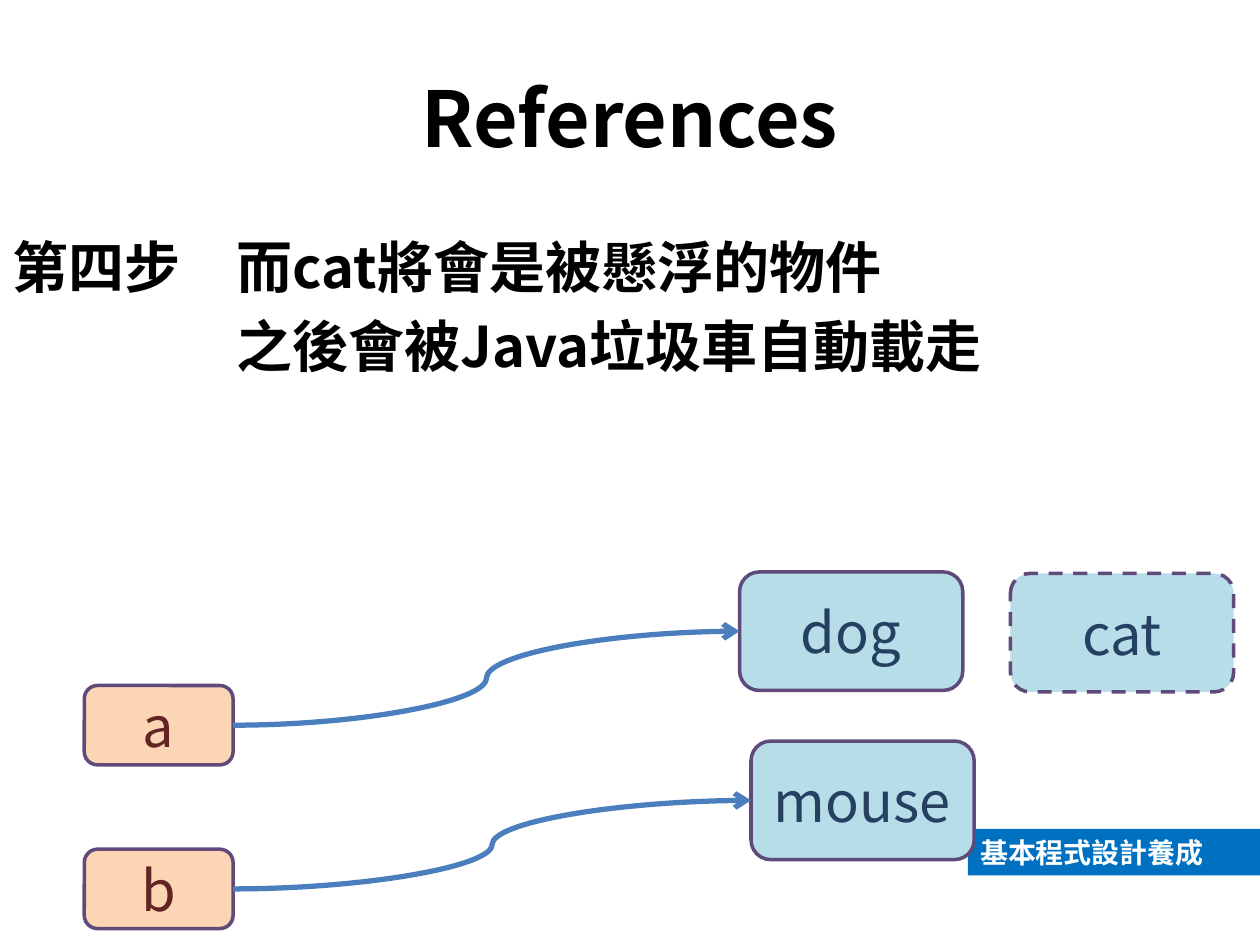
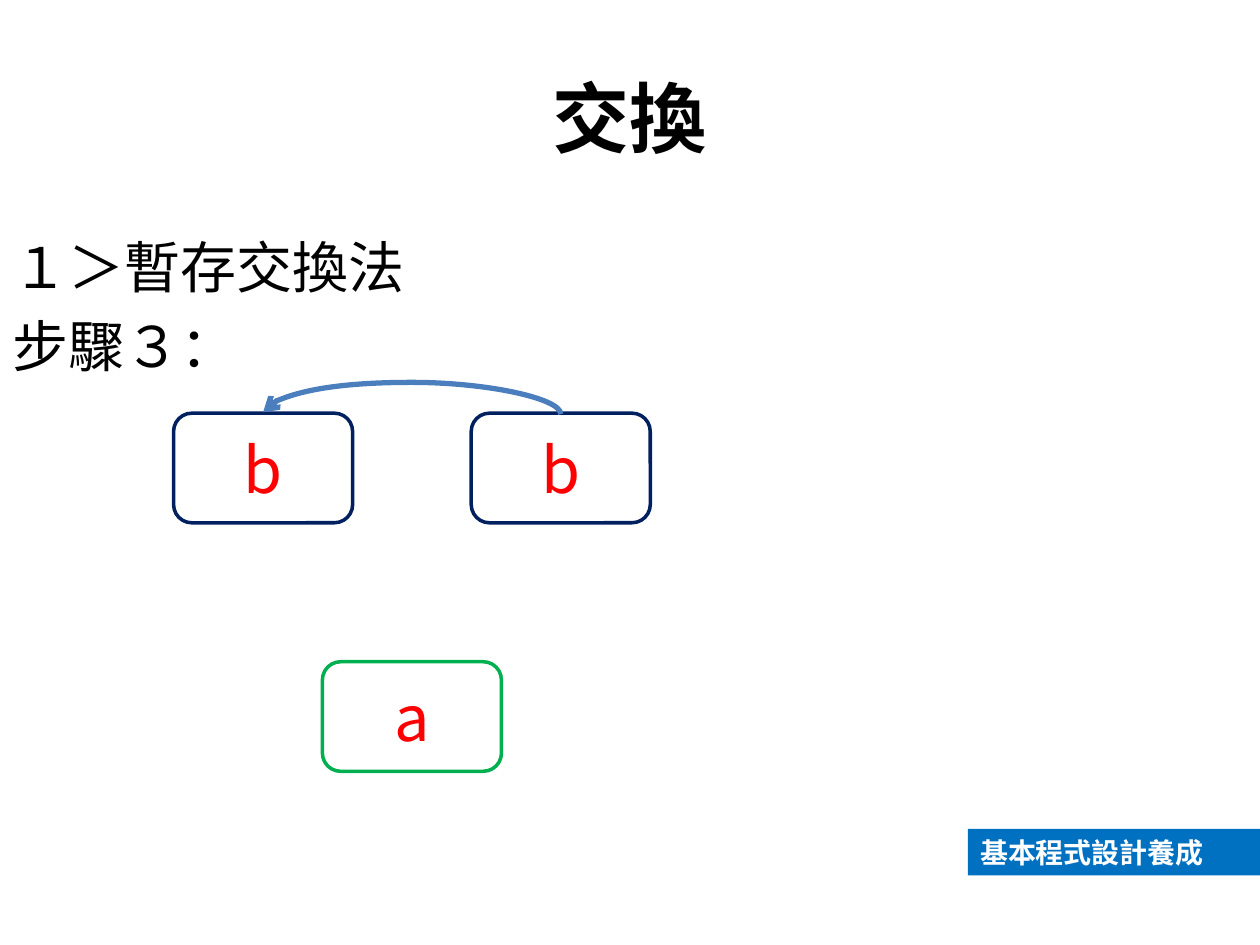
from lxml import etree
from pptx import Presentation
from pptx.dml.color import RGBColor
from pptx.enum.dml import MSO_LINE
from pptx.enum.shapes import MSO_CONNECTOR, MSO_SHAPE
from pptx.enum.text import MSO_ANCHOR, PP_ALIGN
from pptx.oxml.ns import qn
from pptx.util import Cm, Pt

RECTANGLE = MSO_SHAPE.RECTANGLE
ROUNDED = MSO_SHAPE.ROUNDED_RECTANGLE
CURVE = MSO_CONNECTOR.CURVE
DASH = MSO_LINE.DASH
MIDDLE = MSO_ANCHOR.MIDDLE
LEFT, CENTER = PP_ALIGN.LEFT, PP_ALIGN.CENTER

FONT = "Noto Sans CJK SC"
COLORS = {
    "black": "000000",
    "white": "FFFFFF",
    "band": "0070C0",
    "arrow": "4B7EBC",
    "purple": "604A7B",
    "peach": "FCD5B5",
    "brown": "632523",
    "aqua": "B7DEE8",
    "navy": "254061",
    "dark_blue": "002060",
    "green": "00B050",
    "red": "FF0000",
}
BLANK_LAYOUT = 6
TOP_SITE, LEFT_SITE, RIGHT_SITE = 0, 1, 3
BODY_SIZE, BODY_PITCH = 32, 45


def color(name):
    return RGBColor.from_string(COLORS[name])


class Deck:
    """Holds the shared style and the slide being filled."""

    def __init__(self):
        self.presentation = Presentation()
        self.presentation.slide_width = Cm(25.4)
        self.presentation.slide_height = Cm(19.05)
        self.slide = None

    def start_slide(self, title):
        layout = self.presentation.slide_layouts[BLANK_LAYOUT]
        self.slide = self.presentation.slides.add_slide(layout)
        self.footer("基本程式設計養成")
        self.title(title)

    def style(self, paragraph, size, text_color, bold=False, align=LEFT):
        paragraph.alignment = align
        font = paragraph.font
        font.size, font.bold, font.name = Pt(size), bold, FONT
        font.color.rgb = color(text_color)
        properties = paragraph._p.find(".//" + qn("a:defRPr"))
        etree.SubElement(properties, qn("a:ea"), typeface=FONT)

    def shape(self, kind, place, fill=None, line=None, dashed=False):
        shape = self.slide.shapes.add_shape(kind, *map(Cm, place))
        shape.shadow.inherit = False
        if fill:
            shape.fill.solid()
            shape.fill.fore_color.rgb = color(fill)
        else:
            shape.fill.background()
        if line:
            shape.line.color.rgb = color(line)
            shape.line.width = Pt(2)
        else:
            shape.line.fill.background()
        if dashed:
            shape.line.dash_style = DASH
        frame = shape.text_frame
        frame.margin_top = frame.margin_bottom = 0
        frame.vertical_anchor = MIDDLE
        return shape

    def text_box(self, place):
        frame = self.slide.shapes.add_textbox(*map(Cm, place)).text_frame
        frame.word_wrap = True
        frame.margin_top = 0
        return frame

    def footer(self, text):
        band = self.shape(RECTANGLE, (19.51, 16.71, 5.89, 0.94), "band")
        paragraph = band.text_frame.paragraphs[0]
        paragraph.text = text
        self.style(paragraph, 16, "white", bold=True)

    def title(self, text):
        frame = self.text_box((1.27, 0.76, 22.86, 3.18))
        frame.margin_bottom = 0
        frame.vertical_anchor = MIDDLE
        paragraph = frame.paragraphs[0]
        paragraph.text = text
        self.style(paragraph, 44, "black", bold=True, align=CENTER)

    def body(self, lines, bold=False):
        """Writes (text, indent in characters) pairs as paragraphs."""
        frame = self.text_box((0, 4.45, 25.4, 14.6))
        for index, (text, indent) in enumerate(lines):
            paragraph = frame.add_paragraph() if index else frame.paragraphs[0]
            paragraph.text = text
            paragraph.line_spacing = Pt(BODY_PITCH)
            self.style(paragraph, BODY_SIZE, "black", bold)
            margin = Pt(indent * BODY_SIZE)
            paragraph._p.get_or_add_pPr().set("marL", str(margin))

    def box(self, text, place, line, text_color, size=32, fill=None, dashed=False):
        box = self.shape(ROUNDED, place, fill, line, dashed)
        paragraph = box.text_frame.paragraphs[0]
        paragraph.text = text
        self.style(paragraph, size, text_color, align=CENTER)
        return box

    def arrow(self, source, target, source_site=RIGHT_SITE, target_site=LEFT_SITE):
        connector = self.slide.shapes.add_connector(CURVE, 0, 0, 0, 0)
        connector.begin_connect(source, source_site)
        connector.end_connect(target, target_site)
        connector.line.color.rgb = color("arrow")
        connector.line.width = Pt(3)
        line = connector.line._get_or_add_ln()
        etree.SubElement(line, qn("a:tailEnd"), type="arrow")
        etree.SubElement(connector._element.spPr, qn("a:effectLst"))
        return connector

    def arc_arrow(self, source, target, rise):
        """Curves from the top of source leftwards to the top of target."""
        connector = self.arrow(source, target, TOP_SITE, TOP_SITE)
        span = source.left - target.left
        thickness = Cm(0.04)
        center = target.left + target.width // 2 + span // 2
        connector.left = center - thickness // 2
        connector.top = source.top - span // 2
        connector.width, connector.height = thickness, span
        properties = connector._element.spPr
        transform = properties.find(qn("a:xfrm"))
        transform.attrib.pop("flipH", None)
        transform.set("rot", "16200000")
        transform.set("flipV", "1")
        adjustments = properties.find(qn("a:prstGeom")).get_or_add_avLst()
        bend = round(Cm(rise) / thickness * 100000)
        etree.SubElement(adjustments, qn("a:gd"), name="adj1", fmla=f"val {bend}")


def references_slide(deck):
    deck.start_slide("References")
    deck.body([("第四步　而cat將會是被懸浮的物件", 0),
               ("之後會被Java垃圾車自動載走", 4)], bold=True)

    def variable(name, top):
        return deck.box(name, (1.7, top, 3, 1.6), "purple", "brown", fill="peach")

    def animal(name, left, top, dashed=False):
        return deck.box(name, (left, top, 4.5, 2.39), "purple", "navy",
                        fill="aqua", dashed=dashed)

    a, b = variable("a", 13.82), variable("b", 17.12)
    animal("cat", 20.37, 11.56, dashed=True)
    deck.arrow(a, animal("dog", 14.91, 11.53))
    deck.arrow(b, animal("mouse", 15.14, 14.94))


def swap_slide(deck):
    deck.start_slide("交換")
    deck.body([("１＞暫存交換法", 0), ("步驟３：", 0)])

    def value(name, left, top, line):
        return deck.box(name, (left, top, 3.61, 2.21), line, "red", size=36)

    target = value("b", 3.5, 8.33, "dark_blue")
    source = value("b", 9.5, 8.33, "dark_blue")
    value("a", 6.5, 13.34, "green")
    deck.arc_arrow(source, target, rise=0.64)


def main():
    deck = Deck()
    references_slide(deck)
    swap_slide(deck)
    deck.presentation.save("out.pptx")


if __name__ == "__main__":
    main()
